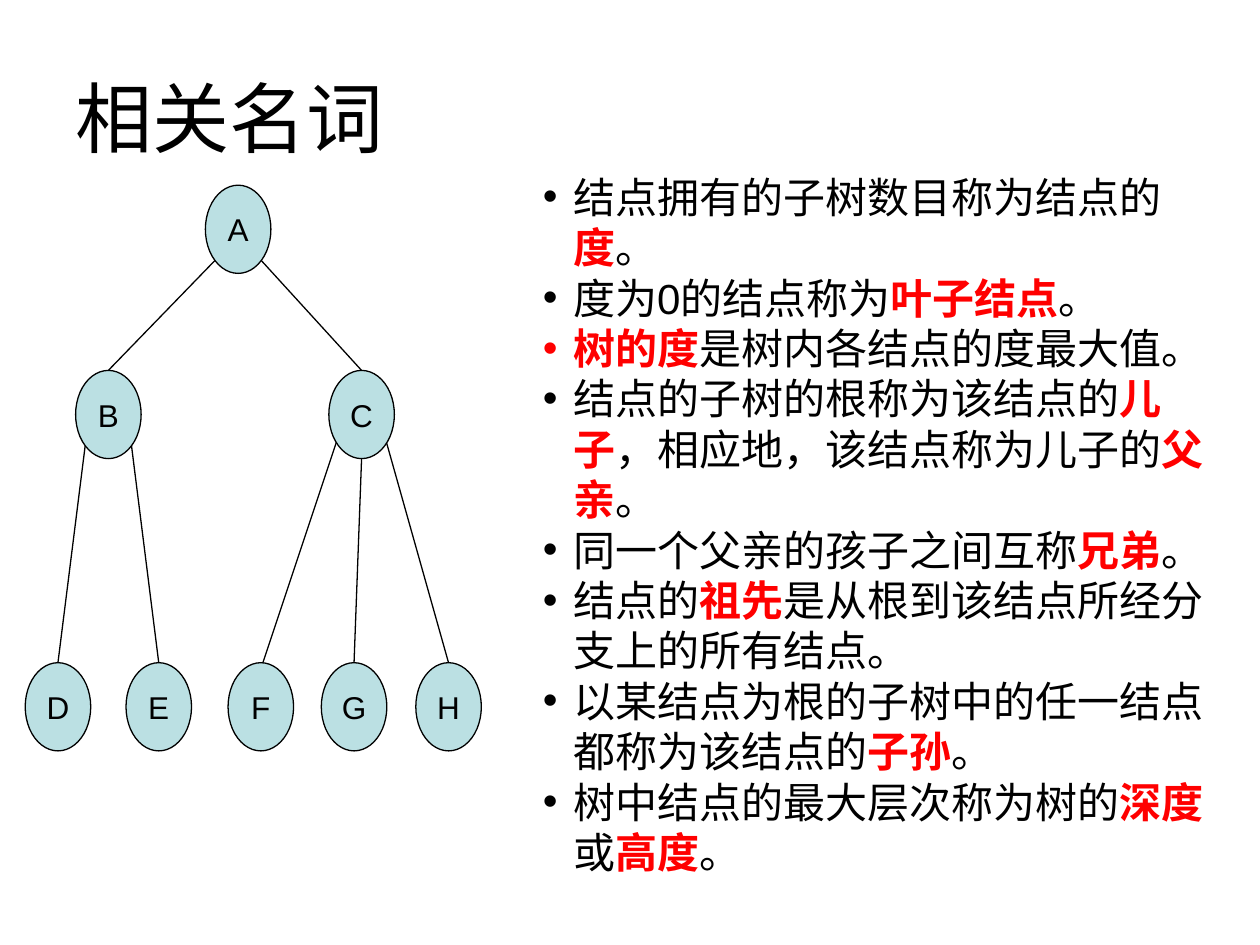
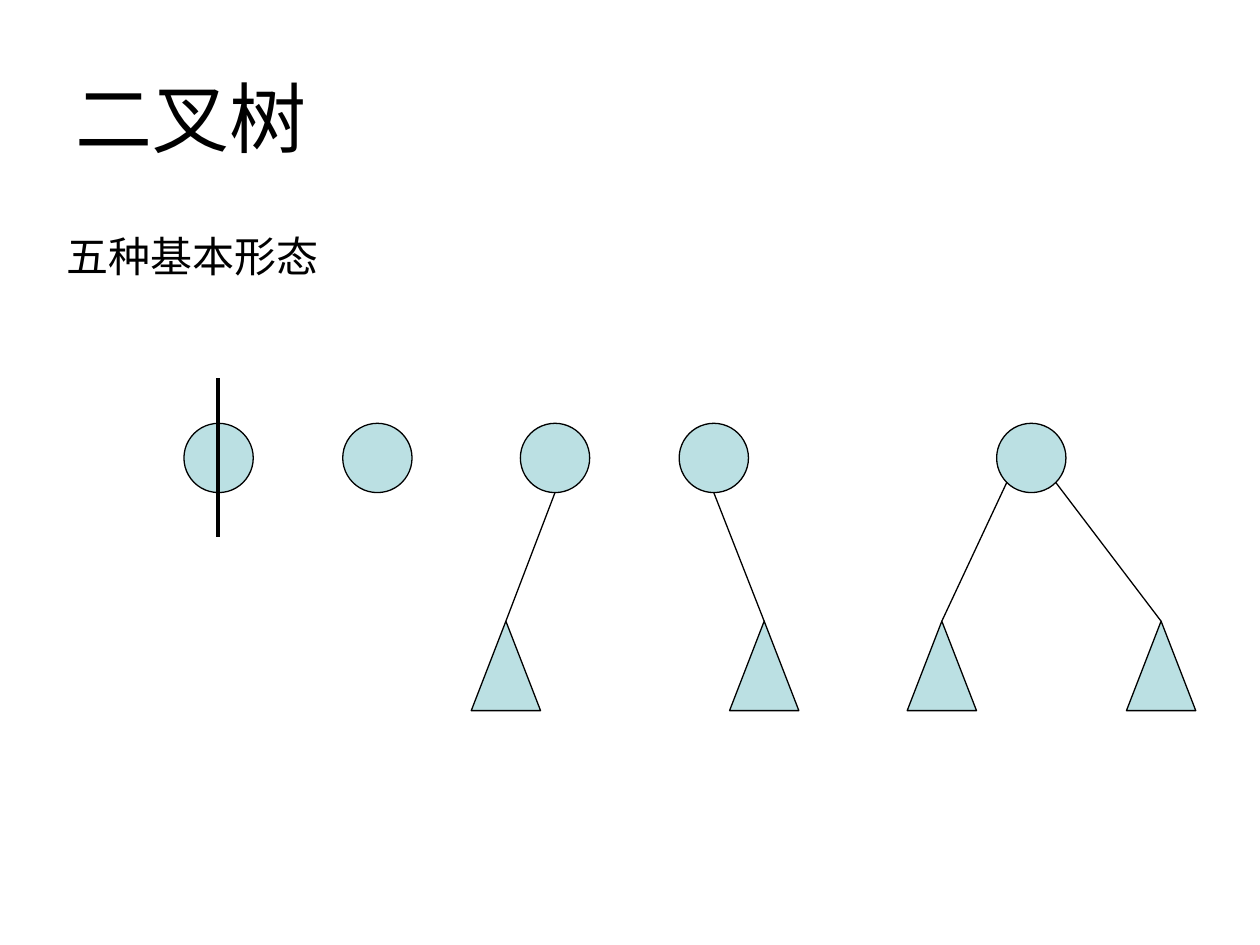
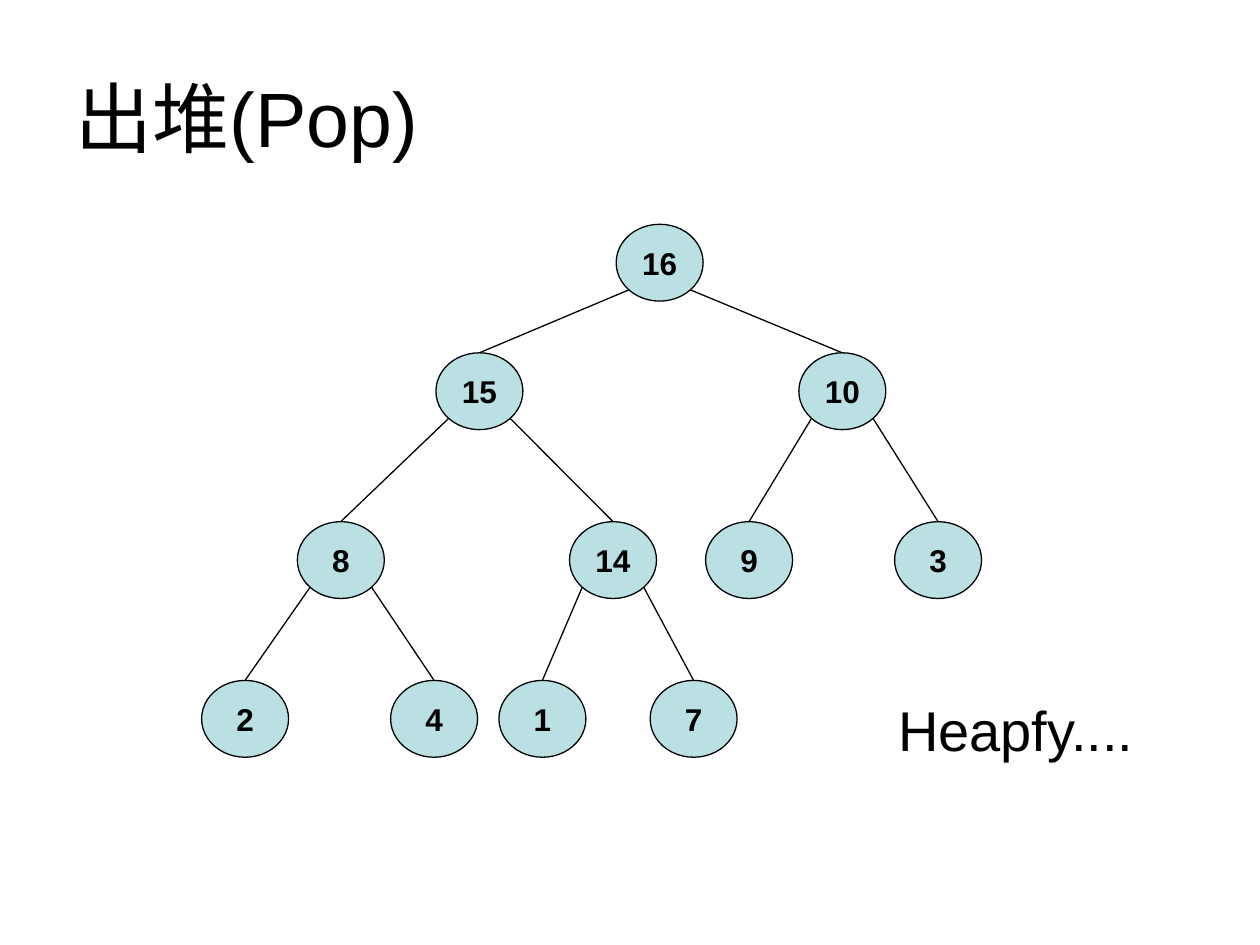
"""Build three slides on trees, binary trees and heaps."""
from math import sqrt

from lxml.etree import SubElement
from pptx import Presentation
from pptx.dml.color import RGBColor
from pptx.enum.shapes import MSO_CONNECTOR, MSO_SHAPE
from pptx.enum.text import MSO_ANCHOR, MSO_AUTO_SIZE, PP_ALIGN
from pptx.oxml.ns import qn
from pptx.util import Inches, Pt

BLACK = RGBColor(0x00, 0x00, 0x00)
RED = RGBColor(0xFF, 0x00, 0x00)
PALE_TEAL = RGBColor(0xBB, 0xE0, 0xE3)
FONT = "Arial"
TITLE_BOX = (0.5, 0.3, 9, 1.25)
BULLET_INDENT = 0.24

TERMS = [
    "结点拥有的子树数目称为结点的*度*。",
    "度为0的结点称为*叶子结点*。",
    "*树的度*是树内各结点的度最大值。",
    "结点的子树的根称为该结点的*儿子*，相应地，该结点称为儿子的*父亲*。",
    "同一个父亲的孩子之间互称*兄弟*。",
    "结点的*祖先*是从根到该结点所经分支上的所有结点。",
    "以某结点为根的子树中的任一结点都称为该结点的*子孙*。",
    "树中结点的最大层次称为树的*深度*或*高度*。",
]

LETTER_SIZE = (0.52, 0.7)
LETTER_NODES = {
    "A": (1.63, 1.47),
    "B": (0.6, 2.94), "C": (2.61, 2.94),
    "D": (0.2, 5.26), "E": (1, 5.26), "F": (1.81, 5.26),
    "G": (2.55, 5.26), "H": (3.3, 5.26),
}
LETTER_EDGES = [("A", "B", -1), ("A", "C", 1), ("B", "D", -1), ("B", "E", 1), ("C", "G", 0)]
LETTER_LINES = [((2.69, 3.45), (2.06, 5.34)), ((3.05, 3.45), (3.56, 5.26))]

HEAP_SIZE = (0.69, 0.61)
HEAP_NODES = {
    "16": (4.89, 1.78),
    "15": (3.46, 2.8), "10": (6.34, 2.8),
    "8": (2.36, 4.14), "14": (4.52, 4.14), "9": (5.6, 4.14), "3": (7.1, 4.14),
    "2": (1.6, 5.4), "4": (3.1, 5.4), "1": (3.96, 5.4), "7": (5.16, 5.4),
}
HEAP_CHILDREN = {"16": ("15", "10"), "15": ("8", "14"), "10": ("9", "3"),
                 "8": ("2", "4"), "14": ("1", "7")}

ROOT_SIZE, ROOT_TOP = (0.55, 0.55), 3.36
SUBTREE_SIZE, SUBTREE_TOP = (0.55, 0.71), 4.93
BINARY_FORMS = [
    (1.46, []),
    (2.72, []),
    (4.13, [(3.74, 0)]),
    (5.39, [(5.79, 0)]),
    (7.91, [(7.2, -1), (8.94, 1)]),
]


def set_values(target, values):
    """Set every attribute named in a dict."""
    for name, value in values.items():
        setattr(target, name, value)


def add_span(para, text, size, color=BLACK, bold=False):
    """Add one formatted run to a paragraph."""
    span = para.add_run()
    span.text = text
    set_values(span.font, {"name": FONT, "size": Pt(size), "bold": bold})
    span.font.color.rgb = color


def add_page(deck, title):
    """Add a title-only slide with the shared title style."""
    page = deck.slides.add_slide(deck.slide_layouts[5])
    holder = page.shapes.title
    set_values(holder, dict(zip(("left", "top", "width", "height"), map(Inches, TITLE_BOX))))
    set_values(holder.text_frame, {"vertical_anchor": MSO_ANCHOR.MIDDLE, "word_wrap": True,
                                   "auto_size": MSO_AUTO_SIZE.NONE})
    para = holder.text_frame.paragraphs[0]
    para.alignment = PP_ALIGN.LEFT
    add_span(para, title, 44)
    return page


def add_text_box(page, box, wrap=True):
    """Add a text box that grows with its text and return its frame."""
    frame = page.shapes.add_textbox(*map(Inches, box)).text_frame
    set_values(frame, {"word_wrap": wrap, "auto_size": MSO_AUTO_SIZE.SHAPE_TO_FIT_TEXT})
    return frame


def add_label(page, box, text, size, wrap=True):
    """Add a text box with a single line."""
    add_span(add_text_box(page, box, wrap).paragraphs[0], text, size)


def add_bullet(para, color):
    """Give a paragraph a hanging round bullet and keep punctuation inside the margin."""
    props = para._p.get_or_add_pPr()
    indent = Inches(BULLET_INDENT)
    for name, value in {"marL": indent, "indent": -indent, "hangingPunct": 0}.items():
        props.set(name, str(value))
    SubElement(SubElement(props, qn("a:buClr")), qn("a:srgbClr")).set("val", str(color))
    SubElement(props, qn("a:buFont")).set("typeface", FONT)
    SubElement(props, qn("a:buChar")).set("char", "•")


def add_terms(page, box, terms):
    """Add a bulleted list whose starred words are bold red."""
    frame = add_text_box(page, box)
    for index, term in enumerate(terms):
        para = frame.add_paragraph() if index else frame.paragraphs[0]
        add_bullet(para, RED if term.startswith("*") else BLACK)
        for position, piece in enumerate(term.split("*")):
            key_term = position % 2 == 1
            if piece:
                add_span(para, piece, 24, RED if key_term else BLACK, key_term)


def add_node(page, kind, box, text="", bold=False):
    """Add a pale outlined shape with an optional centred label."""
    node = page.shapes.add_shape(kind, *map(Inches, box))
    node.shadow.inherit = False
    node.fill.solid()
    node.fill.fore_color.rgb = PALE_TEAL
    node.line.color.rgb = BLACK
    node.line.width = Pt(0.75)
    if text:
        set_values(node.text_frame, {"word_wrap": False, "vertical_anchor": MSO_ANCHOR.MIDDLE})
        para = node.text_frame.paragraphs[0]
        para.alignment = PP_ALIGN.CENTER
        add_span(para, text, 18, bold=bold)


def add_line(page, start, end, width=0.75):
    """Add a straight black line between two points."""
    line = page.shapes.add_connector(MSO_CONNECTOR.STRAIGHT, *map(Inches, start + end))
    line.line.color.rgb = BLACK
    line.line.width = Pt(width)
    SubElement(line._element.spPr, qn("a:effectLst"))


def add_edge(page, parent, child, side):
    """Link the lower left (-1), bottom (0) or lower right (1) of a parent to a child's top."""
    left, top, width, height = parent
    reach = 1 / sqrt(2) if side else 1
    start = (left + width / 2 * (1 + side * reach), top + height / 2 * (1 + reach))
    add_line(page, start, (child[0] + child[2] / 2, child[1]))


def add_tree(page, nodes, size, edges, bold=False):
    """Draw the edges of a tree and then its labelled oval nodes."""
    for parent, child, side in edges:
        add_edge(page, nodes[parent] + size, nodes[child] + size, side)
    for text, corner in nodes.items():
        add_node(page, MSO_SHAPE.OVAL, corner + size, text, bold)


def add_binary_form(page, root_left, subtrees):
    """Draw a root circle with its triangular subtrees."""
    root = (root_left, ROOT_TOP) + ROOT_SIZE
    add_node(page, MSO_SHAPE.OVAL, root)
    for left, side in subtrees:
        subtree = (left, SUBTREE_TOP) + SUBTREE_SIZE
        add_edge(page, root, subtree, side)
        add_node(page, MSO_SHAPE.ISOSCELES_TRIANGLE, subtree)


def main():
    """Build and save the deck."""
    deck = Presentation()
    set_values(deck, {"slide_width": Inches(10), "slide_height": Inches(7.5)})

    page = add_page(deck, "相关名词")
    add_terms(page, (4.21, 1.31, 5.51, 4.9), TERMS)
    for start, end in LETTER_LINES:
        add_line(page, start, end)
    add_tree(page, LETTER_NODES, LETTER_SIZE, LETTER_EDGES)

    page = add_page(deck, "二叉树")
    add_label(page, (0.43, 1.78, 5.35, 0.5), "五种基本形态", 24)
    for root_left, subtrees in BINARY_FORMS:
        add_binary_form(page, root_left, subtrees)
    add_line(page, (1.73, 3), (1.73, 4.26), 2)

    page = add_page(deck, "出堆(Pop)")
    heap_edges = [(parent, child, side) for parent, children in HEAP_CHILDREN.items()
                  for child, side in zip(children, (-1, 1))]
    add_tree(page, HEAP_NODES, HEAP_SIZE, heap_edges, bold=True)
    add_label(page, (7.03, 5.47, 2.1, 0.64), "Heapfy....", 32, wrap=False)

    deck.save("out.pptx")


if __name__ == "__main__":
    main()
